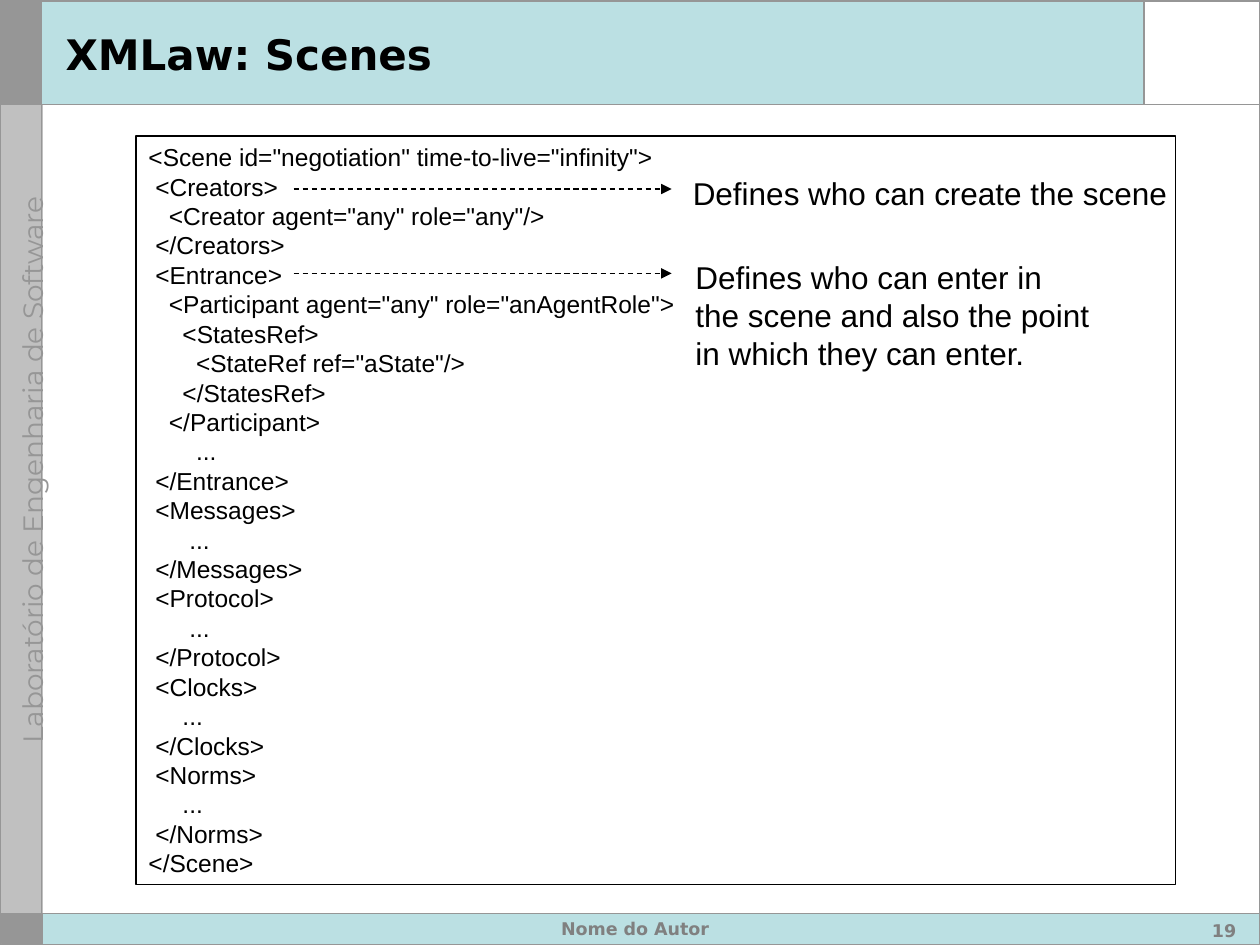
from pptx import Presentation
from pptx.dml.color import RGBColor
from pptx.enum import dml, shapes, text
from pptx.oxml.ns import qn
from pptx.util import Inches, Pt
from lxml import etree

TITLE = "XMLaw: Scenes"
LAB = "Laboratório de Engenharia de Software"
AUTHOR, PAGE = "Nome do Autor", "19"
SCENE = '''<Scene id="negotiation" time-to-live="infinity">
 <Creators>
   <Creator agent="any" role="any"/>
 </Creators>
 <Entrance>
   <Participant agent="any" role="anAgentRole">
     <StatesRef>
       <StateRef ref="aState"/>
     </StatesRef>
   </Participant>
       ...
 </Entrance>
 <Messages>
      ...
 </Messages>
 <Protocol>
      ...
 </Protocol>
 <Clocks>
     ...
 </Clocks>
 <Norms>
     ...
 </Norms>
</Scene>'''
# (note, box, height of its arrow)
NOTES = [
    ("Defines who can create the scene", (5.4, 1.33, 3.96, 0.4), 1.5),
    ("Defines who can enter in\nthe scene and also the point\nin which they can enter.",
     (5.42, 2, 3.32, 1), 2.17),
]

W, H = 10, 7.5
SIDE, HEAD, FOOT, CORNER = 0.33, 0.83, 7.25, 9.08
ARROW_FROM, ARROW_TO = 2.33, 5.33
BLACK, WHITE, TEAL = "000000", "FFFFFF", "BBE0E3"
DARK, LIGHT, FOOTER = "969696", "C0C0C0", "808080"

# (box, fill, line)
PANELS = [
    ((0.01, 0.01, SIDE, HEAD), DARK, DARK),
    ((SIDE, 0, W - SIDE, HEAD), TEAL, None),
    ((0.01, HEAD, SIDE, FOOT - HEAD), LIGHT, LIGHT),
    ((CORNER, 0, W - CORNER, HEAD), WHITE, None),
    ((SIDE, FOOT, W - SIDE, H - FOOT), TEAL, None),
    ((0.01, FOOT, SIDE, 0.24), DARK, DARK),
]
RULES = [
    (CORNER, 0, CORNER, HEAD),
    (0, HEAD, W, HEAD),
    (SIDE, 0, SIDE, H),
    (0, FOOT, W, FOOT),
]

prs = Presentation()
prs.slide_width, prs.slide_height = Inches(W), Inches(H)
slide = prs.slides.add_slide(prs.slide_layouts[5])


def color(value):
    return RGBColor.from_string(value)


def inches(values):
    return [Inches(v) for v in values]


def add_panel(box, fill=None, line=None, width=0.75):
    panel = slide.shapes.add_shape(shapes.MSO_SHAPE.RECTANGLE, *inches(box))
    panel.shadow.inherit = False
    if fill:
        panel.fill.solid()
        panel.fill.fore_color.rgb = color(fill)
    else:
        panel.fill.background()
    if line:
        panel.line.color.rgb = color(line)
        panel.line.width = Pt(width)
    else:
        panel.line.fill.background()
    return panel


def add_line(ends, stroke=DARK, width=1, arrow=False):
    line = slide.shapes.add_connector(shapes.MSO_CONNECTOR.STRAIGHT, *inches(ends))
    line.line.color.rgb = color(stroke)
    line.line.width = Pt(width)
    if arrow:
        line.line.dash_style = dml.MSO_LINE.DASH
        etree.SubElement(line.line._get_or_add_ln(), qn("a:tailEnd"), type="triangle")
    etree.SubElement(line._element.spPr, qn("a:effectLst"))


def write(shape, content, size=18, font="Arial", ink=BLACK, bold=False,
          align="LEFT", anchor="TOP", wrap=True):
    frame = shape.text_frame
    frame.text = content
    frame.auto_size = text.MSO_AUTO_SIZE.NONE
    frame.word_wrap = wrap
    frame.vertical_anchor = text.MSO_ANCHOR[anchor]
    for paragraph in frame.paragraphs:
        paragraph.alignment = text.PP_ALIGN[align]
        paragraph.font.size = Pt(size)
        paragraph.font.name = font
        paragraph.font.bold = bold
        paragraph.font.color.rgb = color(ink)


def add_text(box, content, **style):
    label = slide.shapes.add_textbox(*inches(box))
    write(label, content, **style)
    return label


for box, fill, line in PANELS:
    add_panel(box, fill, line)
lab = add_text((-1.84, 3.91, 4, 0.18), LAB, size=16, font="Montserrat", ink=DARK, wrap=False)
lab.rotation = 270
for ends in RULES:
    add_line(ends)
add_panel((0, 0.01, W, H - 0.01), line=DARK, width=1)

title = slide.shapes.title
title.left, title.top, title.width, title.height = inches((0.42, 0.12, 8.58, 0.62))
write(title, TITLE, size=24, font="DejaVu Sans", bold=True, anchor="MIDDLE")
# The title is created first, so it is moved in front of the panels
slide.shapes._spTree.append(title._element)

write(add_panel((1.08, 1.08, 8.25, 5.94), line=BLACK), SCENE, size=14)
for note, box, y in NOTES:
    add_text(box, note, wrap=False)
    add_line((ARROW_FROM, y, ARROW_TO, y), BLACK, 0.75, arrow=True)

footer_style = dict(size=10, font="DejaVu Sans", ink=FOOTER, bold=True)
add_text((1.83, 7.24, 6.42, 0.25), AUTHOR, align="CENTER", **footer_style)
add_text((CORNER, FOOT, HEAD, 0.25), PAGE, align="RIGHT", **footer_style)

prs.save("out.pptx")
